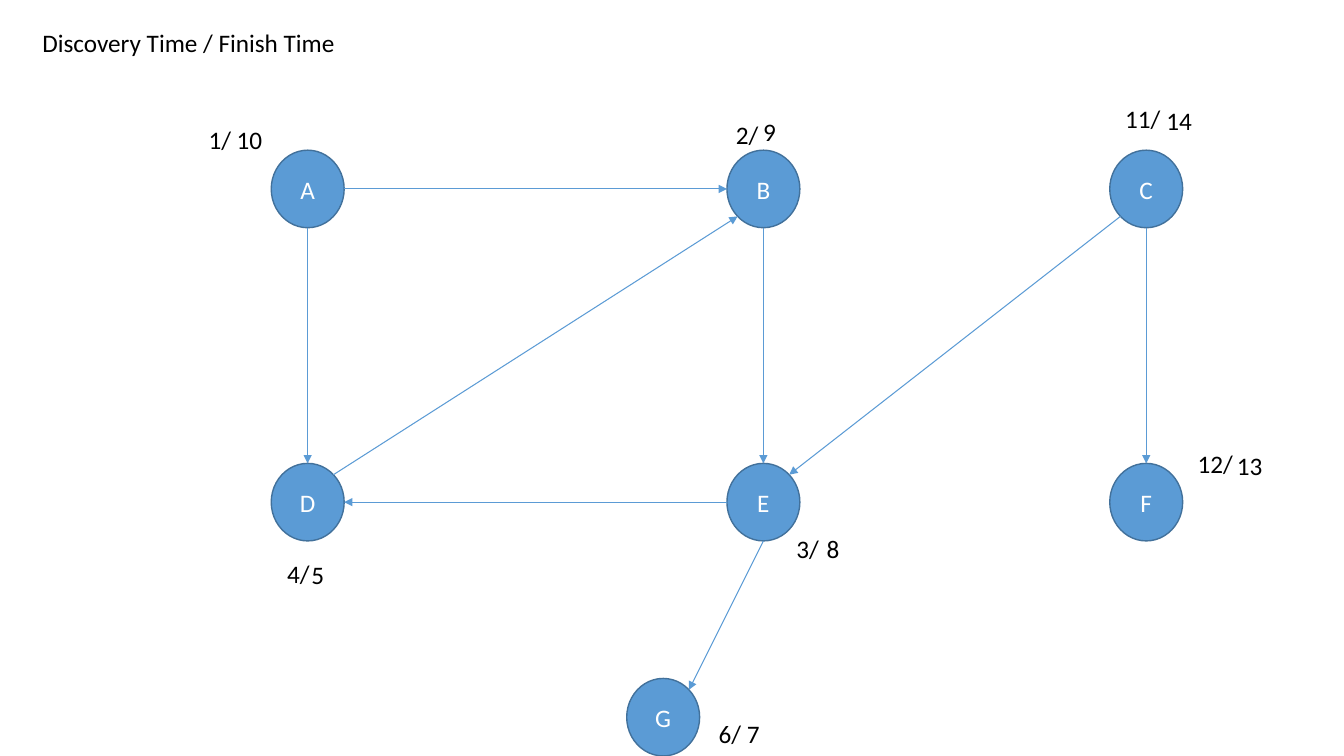
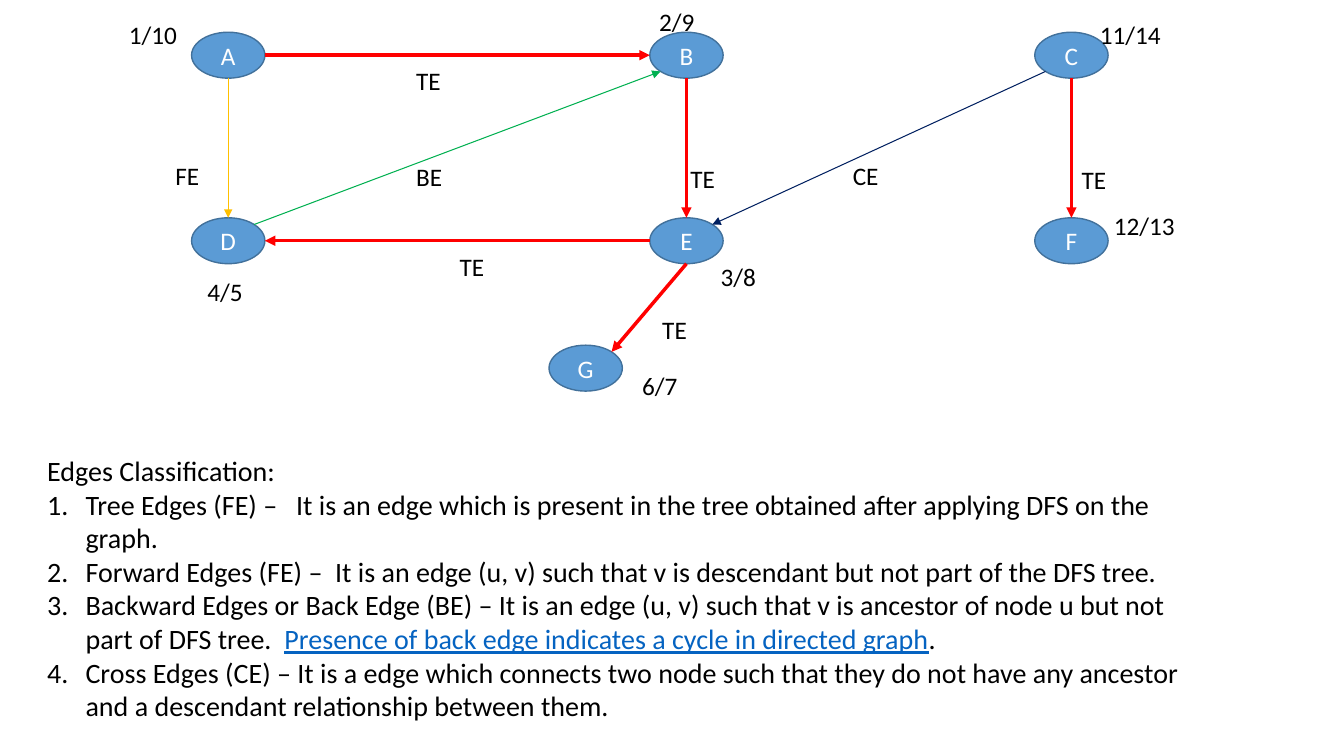
from math import cos, pi, sin

from lxml import etree
from pptx import Presentation
from pptx.dml.color import RGBColor
from pptx.enum.shapes import MSO_CONNECTOR, MSO_SHAPE
from pptx.enum.text import MSO_ANCHOR, MSO_AUTO_SIZE, PP_ALIGN
from pptx.oxml.ns import qn
from pptx.util import Inches, Pt

ELLIPSE, STRAIGHT = MSO_SHAPE.OVAL, MSO_CONNECTOR.STRAIGHT
LEFT, CENTER = PP_ALIGN.LEFT, PP_ALIGN.CENTER
TOP, MIDDLE = MSO_ANCHOR.TOP, MSO_ANCHOR.MIDDLE
FIT_SHAPE, FIT_NONE = MSO_AUTO_SIZE.SHAPE_TO_FIT_TEXT, MSO_AUTO_SIZE.NONE
TITLE_ONLY, BLANK = 5, 6

FONT = "Calibri"
BLACK = RGBColor(0x00, 0x00, 0x00)
WHITE = RGBColor(0xFF, 0xFF, 0xFF)
BLUE = RGBColor(0x5B, 0x9B, 0xD5)
OUTLINE = RGBColor(0x42, 0x71, 0x9B)
RED = RGBColor(0xFF, 0x00, 0x00)
GREEN = RGBColor(0x00, 0xB0, 0x50)
GOLD = RGBColor(0xFF, 0xC0, 0x00)
NAVY = RGBColor(0x00, 0x20, 0x60)
LINK = RGBColor(0x05, 0x63, 0xC1)

NODE_W, NODE_H = 0.08, 0.128
NODES = {
    "A": (0, 0), "B": (0.5, 0), "C": (0.92, 0),
    "D": (0, 0.517), "E": (0.5, 0.517), "F": (0.92, 0.517),
    "G": (0.39, 1 - NODE_H),
}
N, W, SW, S, E, NE = 0, 2, 3, 4, 6, 7
EDGES = [
    ("A", E, "B", W, "TE"), ("B", S, "E", N, "TE"),
    ("E", W, "D", E, "TE"), ("D", NE, "B", SW, "BE"),
    ("A", S, "D", N, "FE"), ("C", SW, "E", NE, "CE"),
    ("C", S, "F", N, "TE"), ("E", S, "G", NE, "TE"),
]
PLAIN = {kind: (BLUE, 0.75) for kind in ("TE", "BE", "FE", "CE")}
CLASSIFIED = {"TE": (RED, 2.5), "BE": (GREEN, 0.75),
              "FE": (GOLD, 0.75), "CE": (NAVY, 0.75)}

TIMES = [
    ("1/", -0.72, -0.31, 0.72), ("10", -0.44, -0.31, 0.7),
    ("2/", 4.51, -0.36, 0.59), ("9", 4.78, -0.38, 0.3),
    ("3/", 5.11, 3.75, 0.59), ("8", 5.41, 3.75, 0.3),
    ("4/", 0.06, 4, 0.59), ("5", 0.3, 4.01, 0.3),
    ("6/", 4.34, 5.59, 0.59), ("7", 4.62, 5.59, 0.3),
    ("11/", 8.37, -0.51, 0.7), ("14", 8.78, -0.49, 0.7),
    ("12/", 9.09, 2.91, 0.7), ("13", 9.48, 2.93, 0.7),
]
TIMES_AND_KINDS = [
    ("1/10", -0.72, -0.18, 0.72), ("2/9", 4.54, -0.31, 0.6),
    ("3/8", 5.15, 2.22, 0.6), ("4/5", 0.06, 2.37, 0.6),
    ("6/7", 4.37, 3.3, 0.6), ("12/13", 9.05, 1.72, 0.98),
    ("11/14", 8.91, -0.18, 1.13),
    ("FE", -0.26, 1.22, 0.57), ("BE", 2.13, 1.23, 0.57),
    ("TE", 2.13, 0.28, 0.57), ("TE", 4.85, 1.25, 0.57),
    ("TE", 2.56, 2.12, 0.57), ("TE", 4.57, 2.75, 0.57),
    ("CE", 6.46, 1.22, 0.57), ("TE", 8.73, 1.26, 0.57),
]
DEFINITIONS = [
    ["Tree Edges (FE) –   It is an edge which is present in the tree obtained "
     "after applying DFS on the graph."],
    ["Forward Edges (FE) –  It is an edge (u, v) such that v is descendant but "
     "not part of the DFS tree."],
    ["Backward Edges or Back Edge (BE) – It is an edge (u, v) such that v is "
     "ancestor of node u but not part of DFS tree.  ",
     "Presence of back edge indicates a cycle in directed graph", "."],
    ["Cross Edges (CE) – It is a edge which connects two node such that they do "
     "not have any ancestor and a descendant relationship between them."],
]


def add_text(p, text, size=18, color=BLACK, align=LEFT, underline=None):
    p.alignment = align
    r = p.add_run()
    r.text = text
    r.font.name = FONT
    r.font.size = Pt(size)
    r.font.color.rgb = color
    r.font.underline = underline


def add_box(slide, x, y, w, h):
    tf = slide.shapes.add_textbox(Inches(x), Inches(y), Inches(w), Inches(h)).text_frame
    tf.word_wrap = True
    tf.auto_size = FIT_SHAPE
    return tf


def add_title(slide, text, x, y, w, h):
    sp = slide.shapes.title
    sp.left, sp.top, sp.width, sp.height = (Inches(v) for v in (x, y, w, h))
    tf = sp.text_frame
    tf.auto_size = FIT_NONE
    tf.vertical_anchor = TOP
    add_text(tf.paragraphs[0], text)


def add_node(slide, name, x, y, w, h):
    sp = slide.shapes.add_shape(ELLIPSE, Inches(x), Inches(y), Inches(w), Inches(h))
    sp.shadow.inherit = False
    sp.fill.solid()
    sp.fill.fore_color.rgb = BLUE
    sp.line.color.rgb = OUTLINE
    sp.line.width = Pt(1)
    sp.text_frame.vertical_anchor = MIDDLE
    add_text(sp.text_frame.paragraphs[0], name, color=WHITE, align=CENTER)
    return sp


def site_point(sp, site):
    angle = pi / 2 + site * pi / 4
    return (round(sp.left + sp.width / 2 * (1 + cos(angle))),
            round(sp.top + sp.height / 2 * (1 - sin(angle))))


def add_edge(slide, start, start_site, end, end_site, color, width):
    cxn = slide.shapes.add_connector(
        STRAIGHT, *site_point(start, start_site), *site_point(end, end_site))
    cxn.line.color.rgb = color
    cxn.line.width = Pt(width)
    etree.SubElement(cxn.line._get_or_add_ln(), qn("a:tailEnd"), type="triangle")
    etree.SubElement(cxn.element.spPr, qn("a:effectLst"))
    ends = cxn.element.nvCxnSpPr.cNvCxnSpPr
    for tag, sp, site in (("a:stCxn", start, start_site), ("a:endCxn", end, end_site)):
        etree.SubElement(ends, qn(tag), id=str(sp.shape_id), idx=str(site))


def add_graph(slide, x, y, w, h, styles, labels):
    nodes = {name: add_node(slide, name, x + fx * w, y + fy * h, NODE_W * w, NODE_H * h)
             for name, (fx, fy) in NODES.items()}
    for start, start_site, end, end_site, kind in EDGES:
        add_edge(slide, nodes[start], start_site, nodes[end], end_site, *styles[kind])
    for text, dx, dy, label_w in labels:
        add_text(add_box(slide, x + dx, y + dy, label_w, 0.4).paragraphs[0], text)


def add_definitions(slide, x, y, w, h):
    tf = add_box(slide, x, y, w, h)
    add_text(tf.paragraphs[0], "Edges Classification:", size=20)
    for parts in DEFINITIONS:
        p = tf.add_paragraph()
        for i, part in enumerate(parts):
            linked = i == 1
            add_text(p, part, size=20, color=LINK if linked else BLACK,
                     underline=linked or None)
        pPr = p._p.get_or_add_pPr()
        pPr.set("marL", str(Inches(0.38)))
        pPr.set("indent", str(-Inches(0.38)))
        etree.SubElement(pPr, qn("a:buFont"), typeface="+mj-lt")
        etree.SubElement(pPr, qn("a:buAutoNum"), type="arabicPeriod")


def build_times_slide(prs):
    slide = prs.slides.add_slide(prs.slide_layouts[TITLE_ONLY])
    add_title(slide, "Discovery Time / Finish Time", 0.32, 0.22, 4.01, 0.4)
    add_graph(slide, 2.69, 1.49, 9.04, 6.01, PLAIN, TIMES)


def build_classification_slide(prs):
    slide = prs.slides.add_slide(prs.slide_layouts[BLANK])
    add_graph(slide, 1.9, 0.32, 9.09, 3.56, CLASSIFIED, TIMES_AND_KINDS)
    add_definitions(slide, 0.37, 4.45, 11.79, 2.79)


def main():
    prs = Presentation()
    prs.slide_width, prs.slide_height = Inches(13.33), Inches(7.5)
    build_times_slide(prs)
    build_classification_slide(prs)
    prs.save("out.pptx")


if __name__ == "__main__":
    main()
